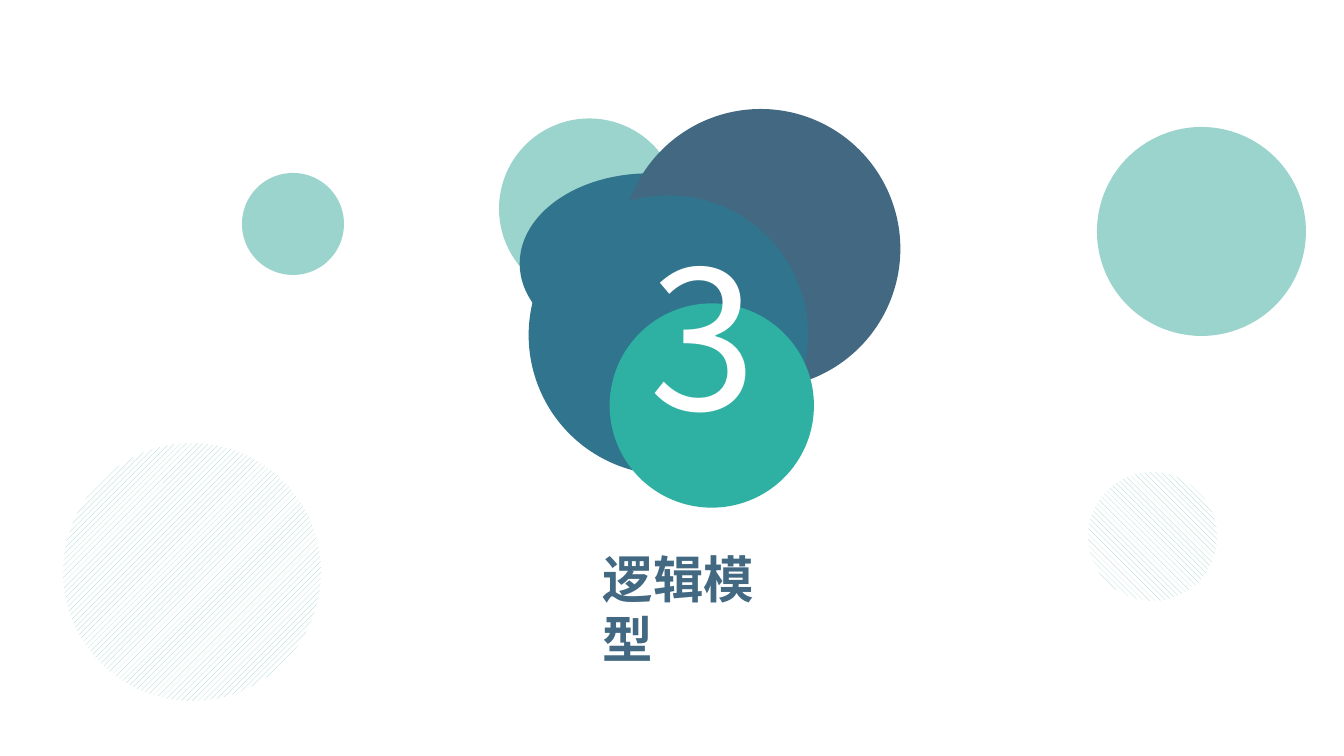
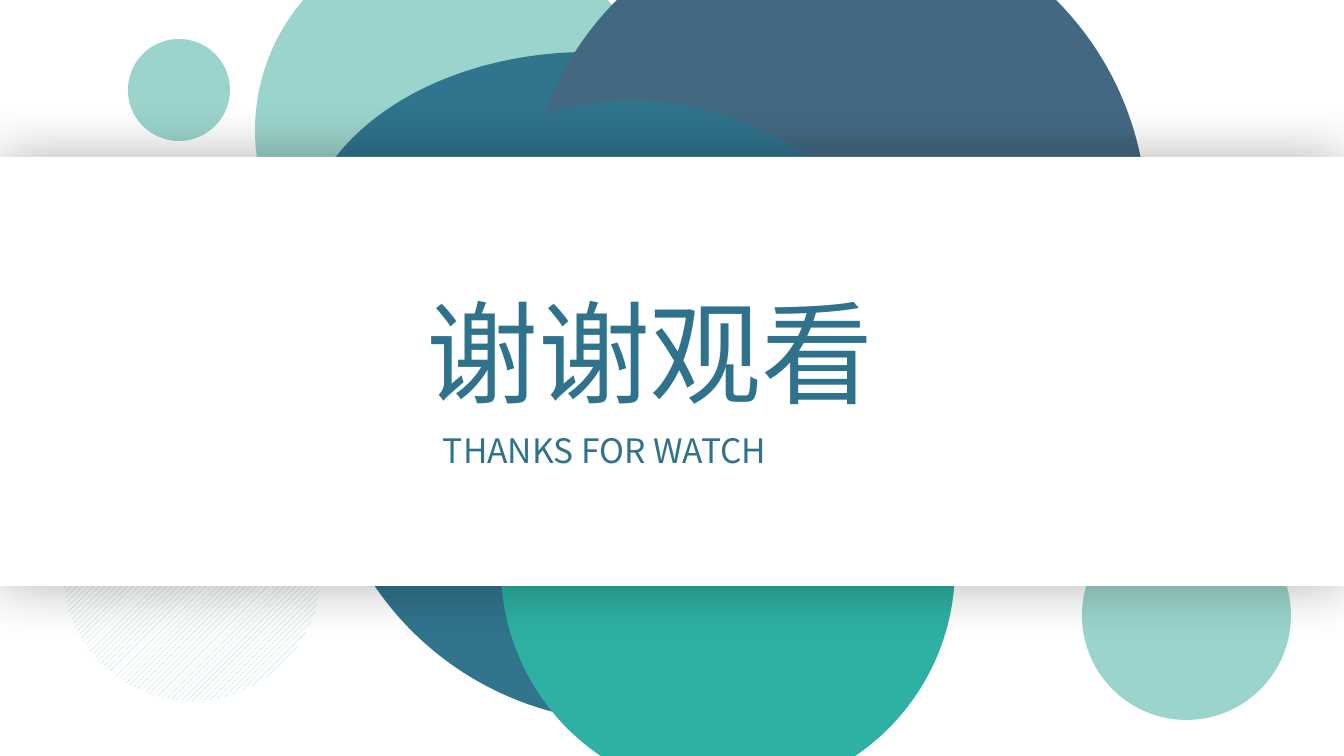
from lxml import etree
from pptx import Presentation
from pptx import util as u
from pptx.dml.color import RGBColor
from pptx.enum import dml, shapes, text
from pptx.oxml.ns import qn

PX = 914400 / 100.8  # EMU in one pixel
FONT = "Noto Sans CJK SC"

WHITE = RGBColor(0xFF, 0xFF, 0xFF)
MINT = RGBColor(0x9B, 0xD4, 0xCC)
BLUE = RGBColor(0x30, 0x74, 0x8D)
SLATE = RGBColor(0x43, 0x69, 0x82)
TEAL = RGBColor(0x2E, 0xB0, 0xA2)
THANKS_BLUE = RGBColor(0x2F, 0x72, 0x8B)

UP = dml.MSO_PATTERN.WIDE_UPWARD_DIAGONAL
DOWN = dml.MSO_PATTERN.WIDE_DOWNWARD_DIAGONAL
OVAL = shapes.MSO_SHAPE.OVAL
RECT = shapes.MSO_SHAPE.RECTANGLE

# Overlapping ellipses at full size: x, y, width, height, colour
CLUSTER = [
    (0, 21, 401, 401, MINT),
    (46, 143, 575, 401, BLUE),
    (271, 0, 621, 621, SLATE),
    (66, 192, 621, 621, BLUE),
    (246, 432, 454, 454, TEAL),
]


def px(*lengths):
    return [u.Emu(round(n * PX)) for n in lengths]


def add_shape(parent, kind, x, y, w, h, color, pattern=None):
    sp = parent.shapes.add_shape(kind, *px(x, y, w, h))
    sp.shadow.inherit = False
    sp.line.fill.background()
    if pattern is None:
        sp.fill.solid()
        sp.fill.fore_color.rgb = color
    else:
        sp.fill.patterned()
        sp.fill.pattern = pattern
        sp.fill.fore_color.rgb = color
        sp.fill.back_color.rgb = WHITE
    return sp


def add_circle(s, x, y, size, pattern=None):
    return add_shape(s, OVAL, x, y, size, size, MINT, pattern)


def add_cluster(s, left, top, scale=1):
    group = s.shapes.add_group_shape()
    for x, y, w, h, color in CLUSTER:
        add_shape(group, OVAL, left + x * scale, top + y * scale,
                  w * scale, h * scale, color)


def add_glow(sp, blur, opacity):
    """Give the shape a soft black shadow on all sides."""
    effects = sp.fill._xPr.find(qn("a:effectLst"))
    shadow = etree.SubElement(effects, qn("a:outerShdw"),
                              blurRad=str(u.Pt(blur)), dist="0", dir="0",
                              algn="ctr", rotWithShape="0")
    color = etree.SubElement(shadow, qn("a:srgbClr"), val="000000")
    etree.SubElement(color, qn("a:alpha"), val=str(opacity * 1000))


def add_text(s, words, x, y, w, h, *, size, color, bold=False,
             align=text.PP_ALIGN.LEFT, inset=(10, 5)):
    tf = s.shapes.add_textbox(*px(x, y, w, h)).text_frame
    tf.word_wrap = True
    tf.auto_size = text.MSO_AUTO_SIZE.SHAPE_TO_FIT_TEXT
    tf.margin_left, tf.margin_top = tf.margin_right, tf.margin_bottom = px(*inset)
    p = tf.paragraphs[0]
    p.alignment = align
    r = p.add_run()
    r.text = words
    r.font.name = FONT
    r.font.size = u.Pt(size)
    r.font.bold = bold
    r.font.color.rgb = color
    etree.SubElement(r.font._element, qn("a:ea"), typeface=FONT)


def new_slide(prs):
    s = prs.slides.add_slide(prs.slide_layouts[6])
    s.background.fill.solid()
    s.background.fill.fore_color.rgb = WHITE
    return s


def section_slide(prs):
    s = new_slide(prs)
    # Circles
    add_circle(s, 1097, 127, 209)
    add_cluster(s, 499, 109, scale=0.45)
    add_circle(s, 242, 173, 102)
    add_circle(s, 63, 443, 258, UP)
    # Number and heading
    add_text(s, "3", 639, 212, 133, 244, size=138, color=WHITE)
    add_text(s, "逻辑模型", 596, 544, 210, 69, size=36, color=SLATE,
             bold=True, inset=(7, 4))
    add_circle(s, 1088, 472, 129, DOWN)


def thanks_slide(prs):
    s = new_slide(prs)
    # Circles
    add_circle(s, 1082, 511, 209)
    add_cluster(s, 255, -91)
    add_circle(s, 128, 39, 102)
    add_circle(s, 63, 443, 258, UP)
    # Band with the closing words
    band = add_shape(s, RECT, 0, 157, 1344, 429, WHITE)
    add_glow(band, blur=41, opacity=29)
    style = dict(color=THANKS_BLUE, align=text.PP_ALIGN.JUSTIFY)
    add_text(s, "谢谢观看", 416, 279, 510, 146, size=80, **style)
    add_text(s, "THANKS FOR WATCH", 433, 425, 477, 50, size=24, **style)


def main():
    prs = Presentation()
    prs.slide_width, prs.slide_height = px(1344, 756)
    section_slide(prs)
    thanks_slide(prs)
    prs.save("out.pptx")


main()
